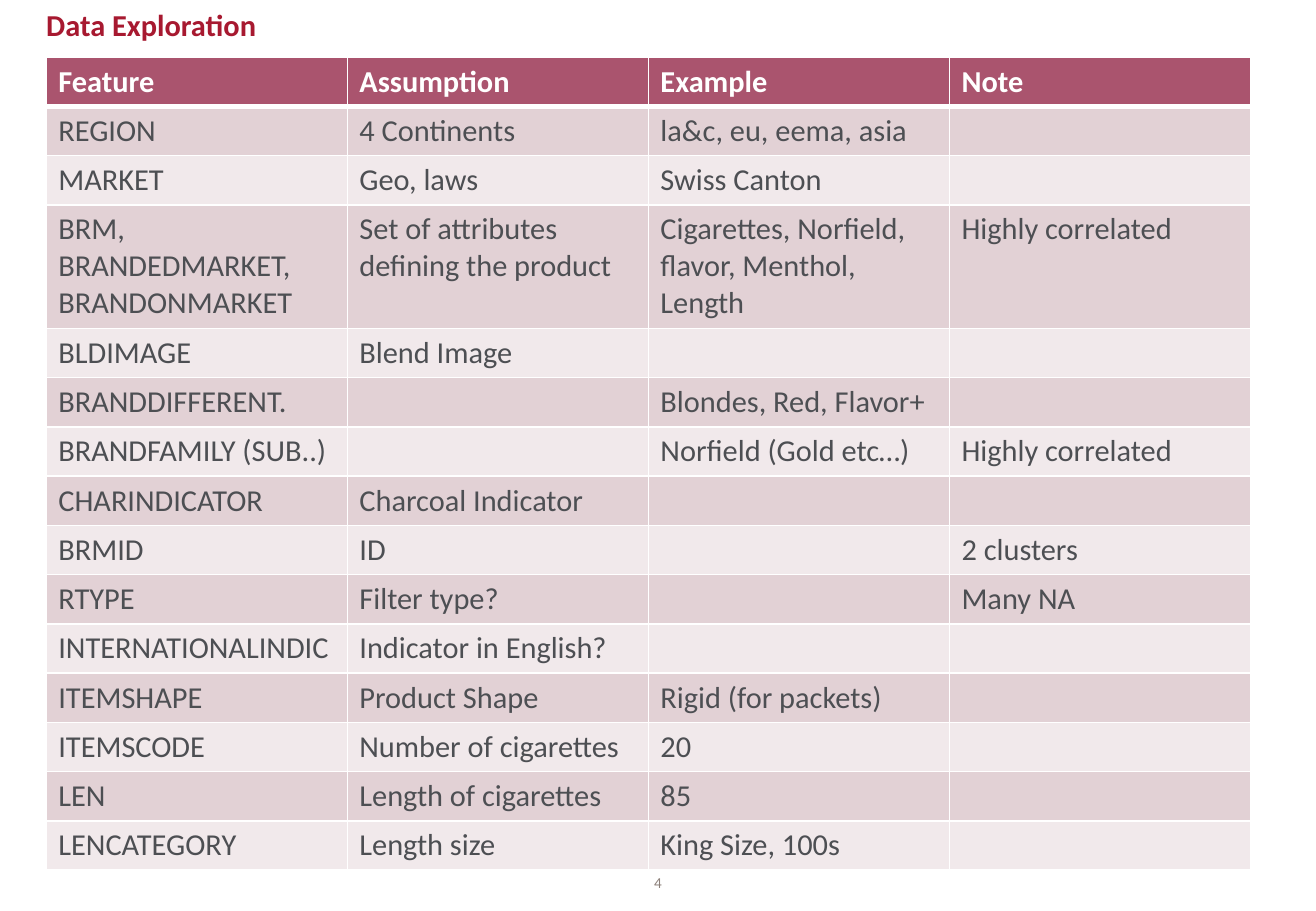
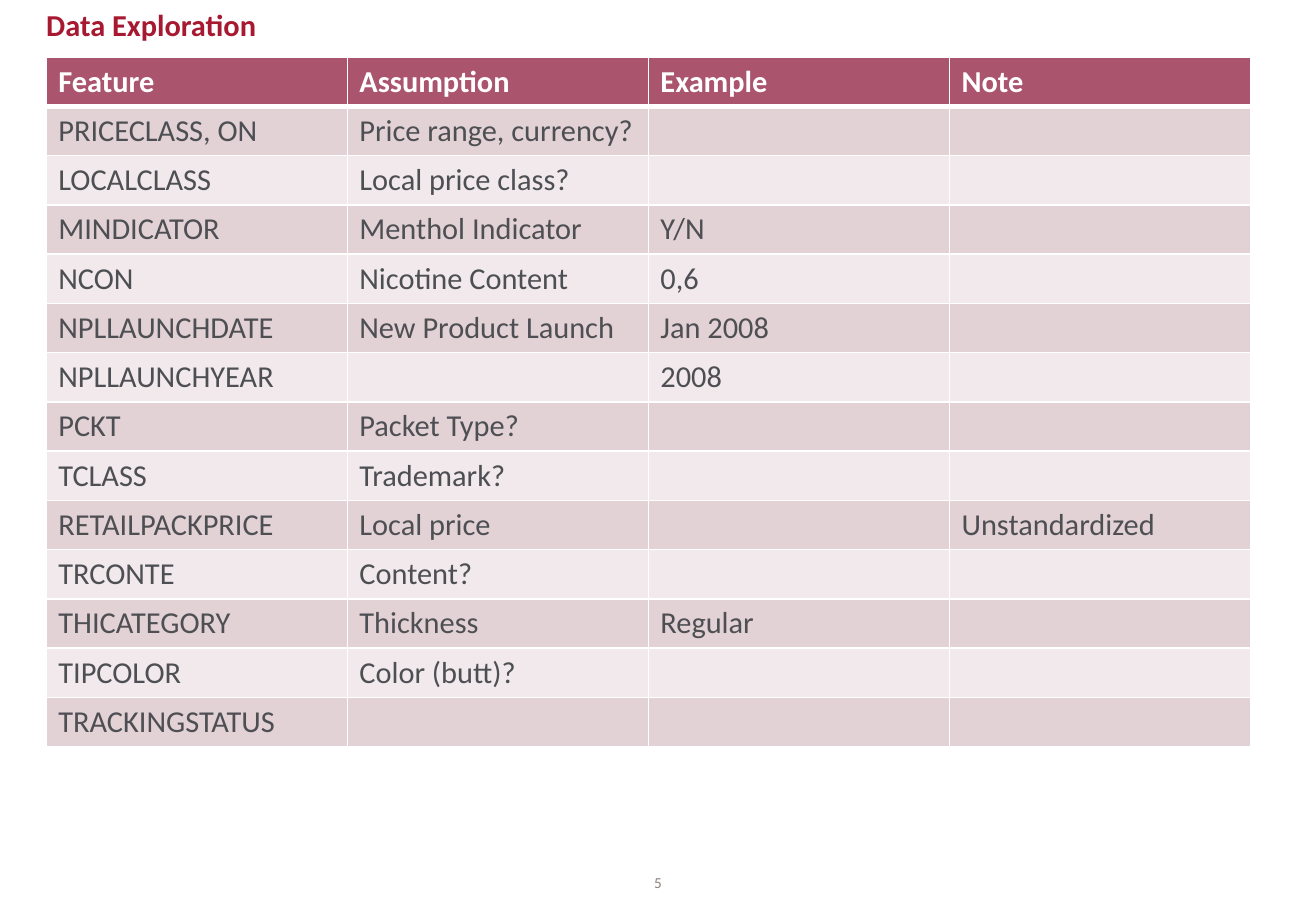
from dataclasses import dataclass
from typing import Any, NamedTuple

import lxml.etree
import pptx
import pptx.dml.color
import pptx.enum.text
import pptx.oxml.ns
import pptx.util

ANCHOR = pptx.enum.text.MSO_ANCHOR
ALIGN = pptx.enum.text.PP_ALIGN


class TextStyle(NamedTuple):
    size: int
    color: str
    bold: bool = False


class Area(NamedTuple):
    """A rectangle in percent of the slide's width and height."""
    left: float
    top: float
    width: float
    height: float


class FeatureRow(NamedTuple):
    feature: str
    assumption: str = ""
    example: str = ""
    note: str = ""
    lines: int = 1


@dataclass(frozen=True)
class Theme:
    font: str = "Calibri"
    title: TextStyle = TextStyle(18, "A71930", True)
    header: TextStyle = TextStyle(18, "FFFFFF", True)
    body: TextStyle = TextStyle(18, "4D4F53")
    page: TextStyle = TextStyle(9, "8D817B")
    header_fill: str = "AA546E"
    bands: tuple[str, str] = ("E2D1D5", "F1E9EB")
    border: str = "FFFFFF"
    thin: int = 1
    thick: int = 3
    row_height: float = 29.2
    extra_line: float = 22


@dataclass(frozen=True)
class FeatureSlide:
    page: int
    rows: tuple[FeatureRow, ...]


THEME = Theme()
WIDTH = pptx.util.Inches(10.83)
HEIGHT = pptx.util.Inches(7.5)
TITLE_AREA = Area(3.51, 0.67, 92.98, 4.93)
TABLE_AREA = Area(3.51, 6.27, 91.51, 88.9)
PAGE_AREA = Area(47.74, 94.8, 4.52, 3.07)
HEADINGS = FeatureRow("Feature", "Assumption", "Example", "Note")
COLUMN_COUNT = 4

SLIDES = (
    FeatureSlide(4, (
        FeatureRow("REGION", "4 Continents", "la&c, eu, eema, asia"),
        FeatureRow("MARKET", "Geo, laws", "Swiss Canton"),
        FeatureRow("BRM, BRANDEDMARKET, BRANDONMARKET",
                   "Set of attributes defining the product",
                   "Cigarettes, Norfield, flavor, Menthol, Length",
                   "Highly correlated", lines=3),
        FeatureRow("BLDIMAGE", "Blend Image"),
        FeatureRow("BRANDDIFFERENT.", example="Blondes, Red, Flavor+"),
        FeatureRow("BRANDFAMILY (SUB..)", example="Norfield (Gold etc…)",
                   note="Highly correlated"),
        FeatureRow("CHARINDICATOR", "Charcoal Indicator"),
        FeatureRow("BRMID", "ID", note="2 clusters"),
        FeatureRow("RTYPE", "Filter type?", note="Many NA"),
        FeatureRow("INTERNATIONALINDIC", "Indicator in English?"),
        FeatureRow("ITEMSHAPE", "Product Shape", "Rigid (for packets)"),
        FeatureRow("ITEMSCODE", "Number of cigarettes", "20"),
        FeatureRow("LEN", "Length of cigarettes", "85"),
        FeatureRow("LENCATEGORY", "Length size", "King Size, 100s"),
    )),
    FeatureSlide(5, (
        FeatureRow("PRICECLASS, ON", "Price range, currency?"),
        FeatureRow("LOCALCLASS", "Local price class?"),
        FeatureRow("MINDICATOR", "Menthol Indicator", "Y/N"),
        FeatureRow("NCON", "Nicotine Content", "0,6"),
        FeatureRow("NPLLAUNCHDATE", "New Product Launch", "Jan 2008"),
        FeatureRow("NPLLAUNCHYEAR", example="2008"),
        FeatureRow("PCKT", "Packet Type?"),
        FeatureRow("TCLASS", "Trademark?"),
        FeatureRow("RETAILPACKPRICE", "Local price", note="Unstandardized"),
        FeatureRow("TRCONTE", "Content?"),
        FeatureRow("THICATEGORY", "Thickness", "Regular"),
        FeatureRow("TIPCOLOR", "Color (butt)?"),
        FeatureRow("TRACKINGSTATUS"),
    )),
)


def apply(target: Any, values: dict[str, Any]) -> None:
    for attribute, value in values.items():
        setattr(target, attribute, value)


def rgb(color: str) -> pptx.dml.color.RGBColor:
    return pptx.dml.color.RGBColor.from_string(color)


def place(area: Area) -> tuple[int, int, int, int]:
    """Turn percentages into left, top, width and height."""
    return (round(WIDTH * area.left / 100), round(HEIGHT * area.top / 100),
            round(WIDTH * area.width / 100), round(HEIGHT * area.height / 100))


def style_font(font: Any, style: TextStyle) -> None:
    apply(font, {"name": THEME.font, "size": pptx.util.Pt(style.size),
                 "bold": style.bold})
    font.color.rgb = rgb(style.color)


def add_text(slide: Any, area: Area, text: str, style: TextStyle,
             anchor: Any, paragraph_format: dict[str, Any]) -> None:
    frame = slide.shapes.add_textbox(*place(area)).text_frame
    apply(frame, {"word_wrap": True, "vertical_anchor": anchor,
                  "margin_left": 0, "margin_top": 0,
                  "margin_right": 0, "margin_bottom": 0})
    paragraph = frame.paragraphs[0]
    apply(paragraph, paragraph_format)
    run = paragraph.add_run()
    run.text = text
    style_font(run.font, style)


def set_borders(cell: Any, top: int, bottom: int) -> None:
    properties = cell._tc.get_or_add_tcPr()
    qn = pptx.oxml.ns.qn
    widths = {"lnL": THEME.thin, "lnR": THEME.thin, "lnT": top, "lnB": bottom}
    for side, width in widths.items():
        line = lxml.etree.SubElement(properties, qn(f"a:{side}"),
                                     w=str(pptx.util.Pt(width)))
        fill = lxml.etree.SubElement(line, qn("a:solidFill"))
        lxml.etree.SubElement(fill, qn("a:srgbClr"), val=THEME.border)


def fill_cell(cell: Any, text: str, row: int) -> None:
    """Write one cell; row 0 is the header, the rest alternate in colour."""
    set_borders(cell, THEME.thick if row == 1 else THEME.thin,
                THEME.thick if row == 0 else THEME.thin)
    cell.fill.solid()
    cell.fill.fore_color.rgb = rgb(
        THEME.bands[(row - 1) % 2] if row else THEME.header_fill)
    paragraph = cell.text_frame.paragraphs[0]
    style = THEME.body if row else THEME.header
    if text:
        run = paragraph.add_run()
        run.text = text
        style_font(run.font, style)
    else:
        style_font(paragraph.font, style)


def add_feature_table(slide: Any, features: tuple[FeatureRow, ...]) -> None:
    rows = (HEADINGS, *features)
    heights = [pptx.util.Pt(THEME.row_height + THEME.extra_line * (row.lines - 1))
               for row in rows]
    left, top, width, _ = place(TABLE_AREA)
    table = slide.shapes.add_table(len(rows), COLUMN_COUNT, left, top, width,
                                   sum(heights)).table
    table.horz_banding = False
    for index, (row, height) in enumerate(zip(rows, heights)):
        table.rows[index].height = height
        for column, text in enumerate(row[:COLUMN_COUNT]):
            fill_cell(table.cell(index, column), text, index)


def add_feature_slide(deck: Any, content: FeatureSlide) -> None:
    slide = deck.slides.add_slide(deck.slide_layouts[6])
    add_text(slide, PAGE_AREA, str(content.page), THEME.page, ANCHOR.BOTTOM,
             {"alignment": ALIGN.CENTER})
    add_text(slide, TITLE_AREA, "Data Exploration", THEME.title, ANCHOR.TOP,
             {"space_after": pptx.util.Pt(3)})
    add_feature_table(slide, content.rows)


def main() -> None:
    deck = pptx.Presentation()
    apply(deck, {"slide_width": WIDTH, "slide_height": HEIGHT})
    for content in SLIDES:
        add_feature_slide(deck, content)
    deck.save("out.pptx")


if __name__ == "__main__":
    main()
